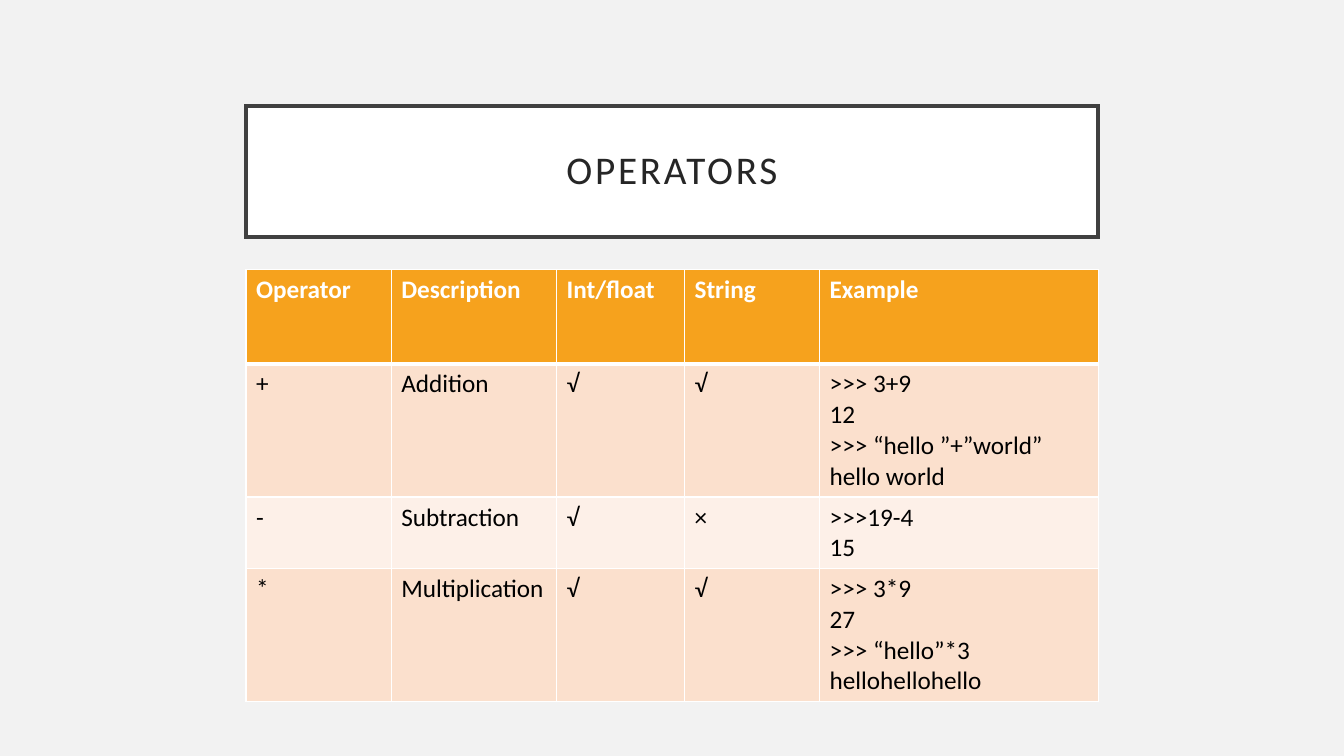
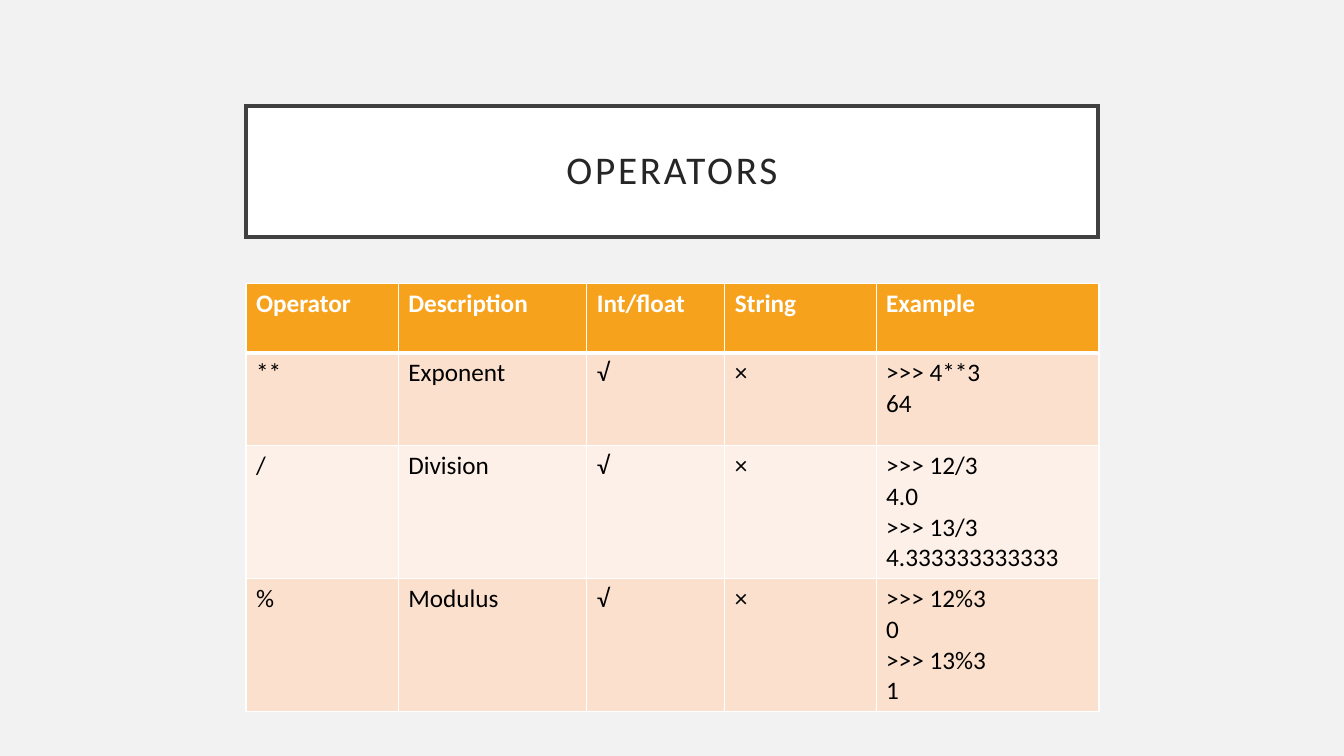
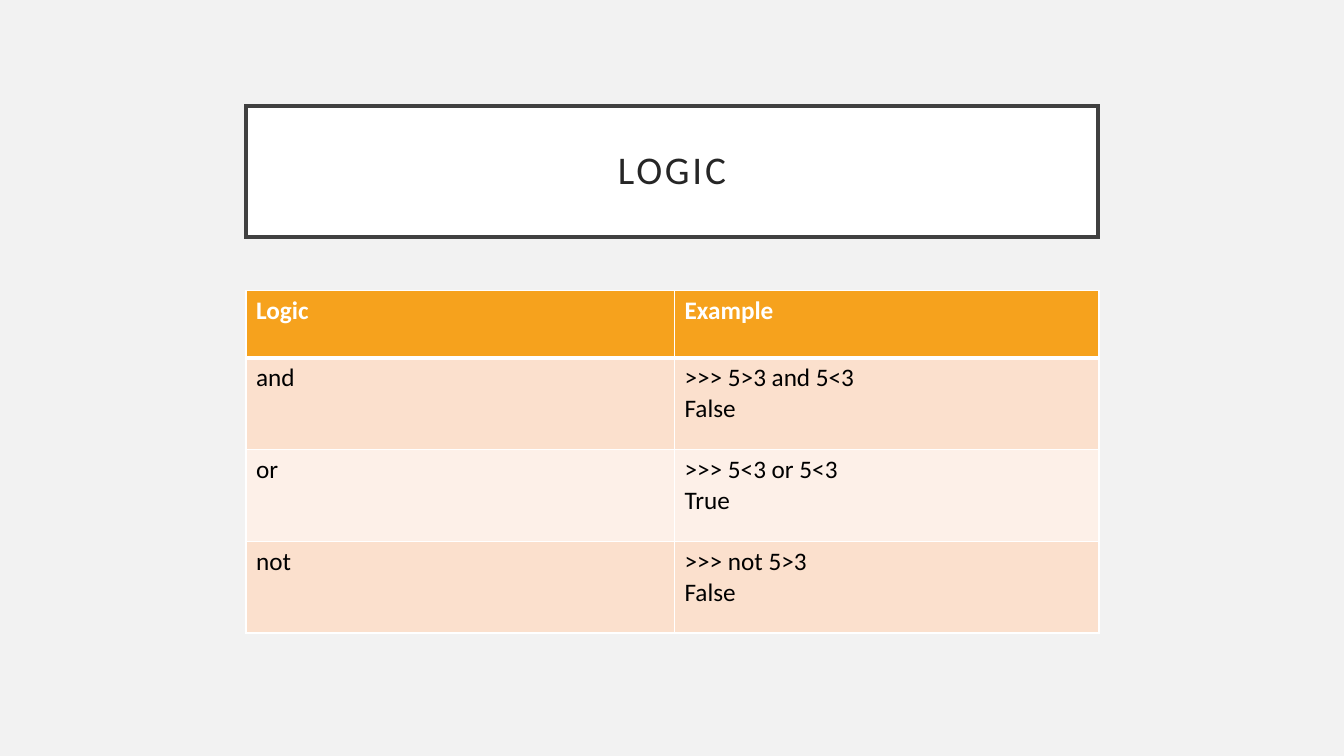
from lxml import etree
from pptx import Presentation
from pptx import util as u
from pptx.dml.color import RGBColor
from pptx.enum import shapes, text
from pptx.oxml.ns import qn

COLOURS = {
    "background": "F2F2F2",
    "white": "FFFFFF",
    "frame": "404040",
    "title": "262626",
    "header": "F6A21D",
    "odd_row": "FBE0CD",
    "even_row": "FDF0E8",
    "body": "000000",
}
TITLE_FONT = {"name": "Calibri", "size": u.Pt(28), "bold": False}
HEADER_FONT = {"name": "Calibri", "size": u.Pt(18), "bold": True}
BODY_FONT = {**HEADER_FONT, "bold": False}
TITLE_FRAME = {
    "word_wrap": True,
    "vertical_anchor": text.MSO_ANCHOR.MIDDLE,
    **{f"margin_{side}": u.Inches(0.2) for side in ("left", "top", "right", "bottom")},
}
TITLE_PARAGRAPH = {"alignment": text.PP_ALIGN.CENTER, "line_spacing": 0.9}
TITLE_BOX = (2.44, 1.05, 8.45, 1.3)
LETTER_SPACING = 2
THIN, THICK = 1, 3

OPERATOR_HEADER = ["Operator", "Description", "Int/float", "String", "Example"]
SLIDES = [
    {
        "title": "OPERATORS",
        "top": 2.67,
        "columns": [1.44, 1.64, 1.27, 1.34, 2.77],
        "heights": [0.94, 1.32, 0.71, 1.32],
        "rows": [
            OPERATOR_HEADER,
            ["+", "Addition", "√", "√", ">>> 3+9\n12\n>>> “hello ”+”world”\nhello world"],
            ["-", "Subtraction", "√", "×", ">>>19-4\n15"],
            ["*", "Multiplication", "√", "√", ">>> 3*9\n27\n>>> “hello”*3\nhellohellohello"],
        ],
    },
    {
        "title": "OPERATORS",
        "top": 2.81,
        "columns": [1.51, 1.87, 1.37, 1.5, 2.21],
        "heights": [0.69, 0.92, 1.32, 1.32],
        "rows": [
            OPERATOR_HEADER,
            ["**", "Exponent", "√", "×", ">>> 4**3\n64"],
            ["/", "Division", "√", "×", ">>> 12/3\n4.0\n>>> 13/3\n4.333333333333"],
            ["%", "Modulus", "√", "×", ">>> 12%3\n0\n>>> 13%3\n1"],
        ],
    },
    {
        "title": "LOGIC",
        "top": 2.88,
        "columns": [4.25, 4.21],
        "heights": [0.67, 0.91, 0.91, 0.91],
        "rows": [
            ["Logic", "Example"],
            ["and", ">>> 5>3 and 5<3\nFalse"],
            ["or", ">>> 5<3 or 5<3\nTrue"],
            ["not", ">>> not 5>3\nFalse"],
        ],
    },
]


def colour(hex_string):
    return RGBColor.from_string(hex_string)


def apply(target, values):
    for name, value in values.items():
        setattr(target, name, value)


def paint(fill, hex_string):
    fill.solid()
    fill.fore_color.rgb = colour(hex_string)


def style_text(text_frame, font, hex_string):
    for paragraph in text_frame.paragraphs:
        for run in paragraph.runs:
            apply(run.font, font)
            run.font.color.rgb = colour(hex_string)


def add_title(slide, box, words):
    shape = slide.shapes.add_shape(shapes.MSO_SHAPE.RECTANGLE, *map(u.Inches, box))
    shape.shadow.inherit = False
    paint(shape.fill, COLOURS["white"])
    paint(shape.line.fill, COLOURS["frame"])
    shape.line.width = u.Pt(2.5)
    etree.SubElement(shape.line._get_or_add_ln(), qn("a:miter"), lim="800000")
    text_frame = shape.text_frame
    text_frame.text = words
    apply(text_frame, TITLE_FRAME)
    paragraph = text_frame.paragraphs[0]
    apply(paragraph, TITLE_PARAGRAPH)
    style_text(text_frame, TITLE_FONT, COLOURS["title"])
    paragraph.runs[0]._r.get_or_add_rPr().set("spc", str(LETTER_SPACING * 100))


def add_borders(cell, widths):
    properties = cell._tc.get_or_add_tcPr()
    for index, (side, width) in enumerate(widths.items()):
        line = etree.Element(qn(f"a:ln{side}"), w=str(u.Pt(width)))
        fill = etree.SubElement(line, qn("a:solidFill"))
        etree.SubElement(fill, qn("a:srgbClr"), val=COLOURS["white"])
        properties.insert(index, line)


def style_cell(cell, row):
    if row == 0:
        background, font, ink = "header", HEADER_FONT, "white"
    else:
        background, font, ink = "odd_row" if row % 2 else "even_row", BODY_FONT, "body"
    paint(cell.fill, COLOURS[background])
    style_text(cell.text_frame, font, COLOURS[ink])
    top = THICK if row == 1 else THIN
    bottom = THICK if row == 0 else THIN
    add_borders(cell, {"L": THIN, "R": THIN, "T": top, "B": bottom})


def add_grid(slide, left, top, columns, heights, rows):
    box = map(u.Inches, (left, top, sum(columns), sum(heights)))
    table = slide.shapes.add_table(len(rows), len(columns), *box).table
    for column, width in zip(table.columns, columns):
        column.width = u.Inches(width)
    for row, height in zip(table.rows, heights):
        row.height = u.Inches(height)
    for row, entries in enumerate(rows):
        for column, words in enumerate(entries):
            cell = table.cell(row, column)
            cell.text = words
            style_cell(cell, row)


def main():
    presentation = Presentation()
    presentation.slide_width = u.Inches(13.33)
    presentation.slide_height = u.Inches(7.5)
    paint(presentation.slide_master.background.fill, COLOURS["background"])
    for content in SLIDES:
        slide = presentation.slides.add_slide(presentation.slide_layouts[6])
        add_title(slide, TITLE_BOX, content["title"])
        add_grid(slide, TITLE_BOX[0], content["top"], content["columns"],
                 content["heights"], content["rows"])
    presentation.save("out.pptx")


if __name__ == "__main__":
    main()
